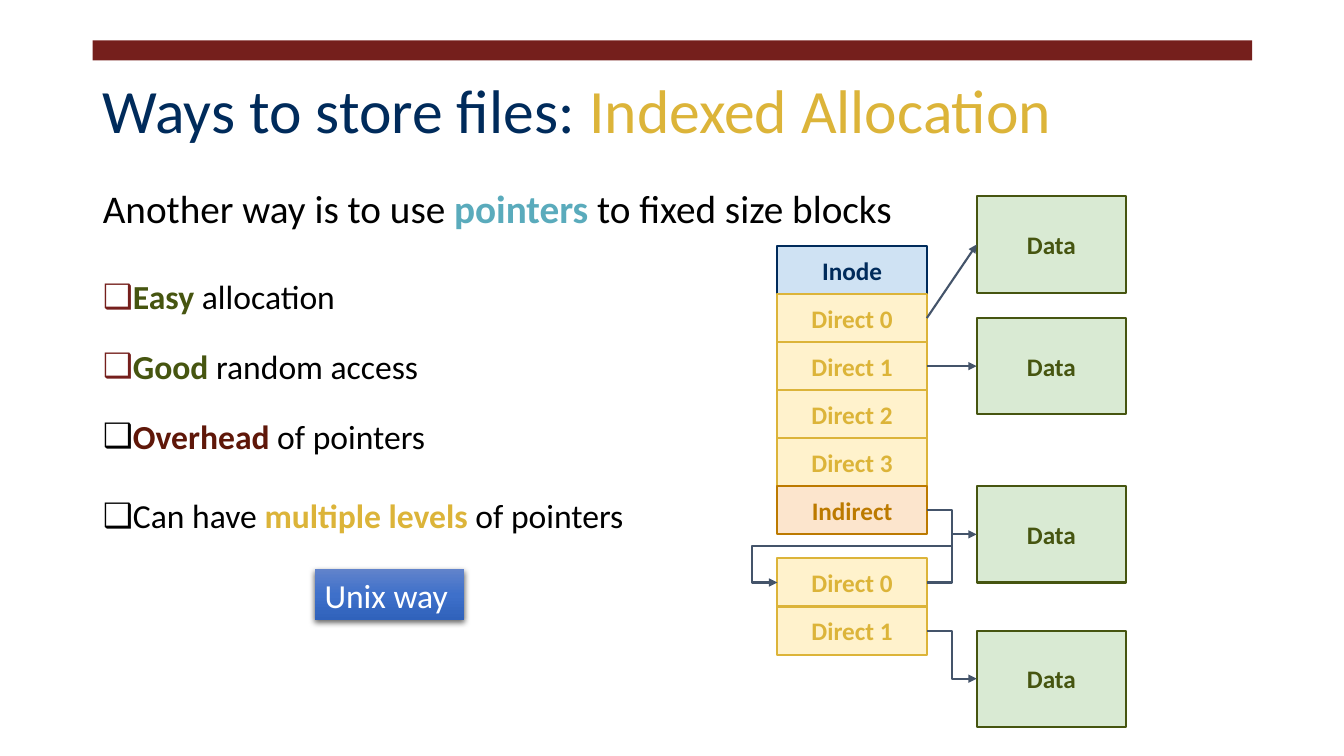
import pptx
import pptx.util
import pptx.dml.color
import pptx.enum.shapes
import pptx.enum.text
import pptx.oxml
import pptx.oxml.ns
import copy
import lxml.etree

COLORS = {
    "maroon": "751F1C", "navy": "002B5B", "gold": "DCB439", "teal": "5AABBC",
    "black": "000000", "green": "465510", "brown": "5F1709", "orange": "BC7A00",
    "pale blue": "CFE2F3", "pale gold": "FFF2CC", "pale orange": "FCE5CD",
    "pale green": "D9EAD3", "slate": "44546A", "white": "FFFFFF",
    "blue top": "6183CB", "blue middle": "3E70CA", "blue bottom": "3062BB",
}
FONT = "Calibri"
SLIDE_WIDTH, SLIDE_HEIGHT = 13.33, 7.5
LEFT, WIDTH = 0.92, 11.5
Inches, Pt = pptx.util.Inches, pptx.util.Pt
RECTANGLE = pptx.enum.shapes.MSO_SHAPE.RECTANGLE
STRAIGHT = pptx.enum.shapes.MSO_CONNECTOR.STRAIGHT
ELBOW = pptx.enum.shapes.MSO_CONNECTOR.ELBOW
ALIGN = pptx.enum.text.PP_ALIGN
ANCHOR = pptx.enum.text.MSO_ANCHOR
LEFT_SITE, RIGHT_SITE = 1, 3

KINDS = {
    "inode": ("pale blue", "navy"),
    "direct": ("pale gold", "gold"),
    "indirect": ("pale orange", "orange"),
    "data": ("pale green", "green"),
}
TITLE = [("Ways to store files: ", "navy", False), ("Indexed Allocation", "gold", False)]
BODY = [
    (None, 28, 0, [("Another way is to use ", "black", False), ("pointers", "teal", True),
                   (" to fixed size blocks", "black", False)]),
    ("maroon", 24, 32, [("Easy", "green", True), (" allocation", "black", False)]),
    ("maroon", 24, 21, [("Good ", "green", True), ("random access", "black", False)]),
    ("black", 24, 21, [("Overhead", "brown", True), (" of pointers", "black", False)]),
    ("black", 24, 28, [("Can have", "black", False), (" multiple levels", "gold", True),
                       (" of pointers", "black", False)]),
]
INDEX_CELLS = [
    ("Inode", "inode", 0), ("Direct 0", "direct", 1), ("Direct 1", "direct", 2),
    ("Direct 2", "direct", 3), ("Direct 3", "direct", 4), ("Indirect", "indirect", 5),
    ("Direct 0", "direct", 6.5), ("Direct 1", "direct", 7.5),
]
DATA_ROWS = [-1.03, 1.5, 5, 8]


def rgb(name):
    return pptx.dml.color.RGBColor.from_string(COLORS[name])


def format_span(span, size, color, bold=False):
    span.font.name = FONT
    span.font.size = Pt(size)
    span.font.bold = bold
    span.font.color.rgb = rgb(color)


def write_spans(para, spans, size):
    for text, color, bold in spans:
        span = para.add_run()
        span.text = text
        format_span(span, size, color, bold)


def place(shape, box):
    shape.left, shape.top, shape.width, shape.height = map(Inches, box)


def set_frame(frame, anchor):
    frame.word_wrap = True
    frame.auto_size = pptx.enum.text.MSO_AUTO_SIZE.NONE
    frame.vertical_anchor = anchor
    frame.margin_left = frame.margin_right = Inches(0.1)
    frame.margin_top = frame.margin_bottom = Inches(0.1)


def add_bullet(para, color):
    properties = para._p.get_or_add_pPr()
    properties.set("marL", str(Inches(0.29)))
    properties.set("indent", str(-Inches(0.29)))
    bullet_color = lxml.etree.SubElement(properties, pptx.oxml.ns.qn("a:buClr"))
    lxml.etree.SubElement(bullet_color, pptx.oxml.ns.qn("a:srgbClr"), val=COLORS[color])
    lxml.etree.SubElement(properties, pptx.oxml.ns.qn("a:buChar"), char="❑")


def remove_bullet(para):
    properties = para._p.get_or_add_pPr()
    properties.set("marL", "0")
    properties.set("indent", "0")
    lxml.etree.SubElement(properties, pptx.oxml.ns.qn("a:buNone"))


def add_header(page, box):
    left, top, width, height = box
    bar = page.shapes.add_shape(RECTANGLE, *map(Inches, (left, top, width, 0.2)))
    bar.shadow.inherit = False
    bar.fill.solid()
    bar.fill.fore_color.rgb = rgb("maroon")
    bar.line.fill.background()
    title = page.shapes.title
    place(title, box)
    set_frame(title.text_frame, ANCHOR.MIDDLE)
    para = title.text_frame.paragraphs[0]
    para.alignment = ALIGN.LEFT
    para.line_spacing = 0.9
    write_spans(para, TITLE, 44)


def add_body(page, box):
    body = page.placeholders[1]
    place(body, box)
    frame = body.text_frame
    set_frame(frame, ANCHOR.TOP)
    for number, (bullet, size, space, spans) in enumerate(BODY):
        para = frame.add_paragraph() if number else frame.paragraphs[0]
        if bullet:
            add_bullet(para, bullet)
        else:
            remove_bullet(para)
        para.alignment = ALIGN.LEFT
        para.line_spacing = 1.0
        para.space_before = Pt(space)
        write_spans(para, spans, size)


def add_block(page, box, text, kind):
    fill, ink = KINDS[kind]
    block = page.shapes.add_shape(RECTANGLE, *map(Inches, box))
    block.shadow.inherit = False
    block.fill.solid()
    block.fill.fore_color.rgb = rgb(fill)
    block.line.color.rgb = rgb(ink)
    block.line.width = Pt(1.5)
    set_frame(block.text_frame, ANCHOR.MIDDLE)
    block.text_frame.text = text
    para = block.text_frame.paragraphs[0]
    para.alignment = ALIGN.CENTER
    format_span(para.runs[0], 18, ink, True)
    return block


def add_arrow(page, kind, source, target):
    arrow = page.shapes.add_connector(kind, 0, 0, 0, 0)
    arrow.begin_connect(source, RIGHT_SITE)
    arrow.end_connect(target, LEFT_SITE)
    arrow.line.color.rgb = rgb("slate")
    arrow.line.width = Pt(1.5)
    lxml.etree.SubElement(arrow.line._get_or_add_ln(), pptx.oxml.ns.qn("a:tailEnd"), type="triangle")
    lxml.etree.SubElement(arrow._element.spPr, pptx.oxml.ns.qn("a:effectLst"))
    return arrow


def loop_back(arrow):
    geometry = arrow._element.spPr.find(pptx.oxml.ns.qn("a:prstGeom"))
    geometry.set("prst", "bentConnector5")
    guides = geometry.find(pptx.oxml.ns.qn("a:avLst"))
    if guides is None:
        guides = lxml.etree.SubElement(geometry, pptx.oxml.ns.qn("a:avLst"))
    for number, share in enumerate((-16900, 50000, 116900), 1):
        lxml.etree.SubElement(guides, pptx.oxml.ns.qn("a:gd"), name=f"adj{number}", fmla=f"val {share}")


def add_diagram(page, box):
    left, top, width, height = box
    row, column = height / 10, width / 7
    cells = [add_block(page, (left, top + place_row * row, 3 * column, row), text, kind)
             for text, kind, place_row in INDEX_CELLS]
    data = [add_block(page, (left + 4 * column, top + place_row * row, 3 * column, 2 * row), "Data", "data")
            for place_row in DATA_ROWS]
    add_arrow(page, STRAIGHT, cells[1], data[0])
    add_arrow(page, STRAIGHT, cells[2], data[1])
    loop_back(add_arrow(page, ELBOW, cells[5], cells[6]))
    add_arrow(page, ELBOW, cells[6], data[2])
    add_arrow(page, ELBOW, cells[7], data[3])


def add_label(page, box):
    label = page.shapes.add_shape(RECTANGLE, *map(Inches, box))
    label.shadow.inherit = False
    label.line.fill.background()
    label.fill.gradient()
    label.fill.gradient_angle = 270
    stops = label._element.spPr.find(".//" + pptx.oxml.ns.qn("a:gsLst"))
    stops.insert(1, copy.deepcopy(stops[0]))
    for number, name in enumerate(("blue top", "blue middle", "blue bottom")):
        stop = label.fill.gradient_stops[number]
        stop.position = number / 2
        stop.color.rgb = rgb(name)
    effects = label._element.spPr.find(pptx.oxml.ns.qn("a:effectLst"))
    shadow = lxml.etree.SubElement(effects, pptx.oxml.ns.qn("a:outerShdw"), blurRad=str(Pt(4.5)),
                                   dist=str(Pt(1.5)), dir="5400000", rotWithShape="0")
    shade = lxml.etree.SubElement(shadow, pptx.oxml.ns.qn("a:srgbClr"), val=COLORS["black"])
    lxml.etree.SubElement(shade, pptx.oxml.ns.qn("a:alpha"), val="63000")
    frame = label.text_frame
    set_frame(frame, ANCHOR.TOP)
    frame.margin_top = frame.margin_bottom = Inches(0.05)
    frame.text = "Unix way"
    frame.paragraphs[0].alignment = ALIGN.LEFT
    format_span(frame.paragraphs[0].runs[0], 24, "white")


def main():
    deck = pptx.Presentation()
    deck.slide_width, deck.slide_height = Inches(SLIDE_WIDTH), Inches(SLIDE_HEIGHT)
    page = deck.slides.add_slide(deck.slide_layouts[1])
    add_header(page, (LEFT, 0.4, WIDTH, 1.45))
    add_body(page, (LEFT, 1.73, WIDTH, 5.35))
    add_diagram(page, (7.71, 2.44, 3.46, 4.77))
    add_label(page, (3.12, 5.65, 1.48, 0.5))
    deck.save("out.pptx")


if __name__ == "__main__":
    main()
